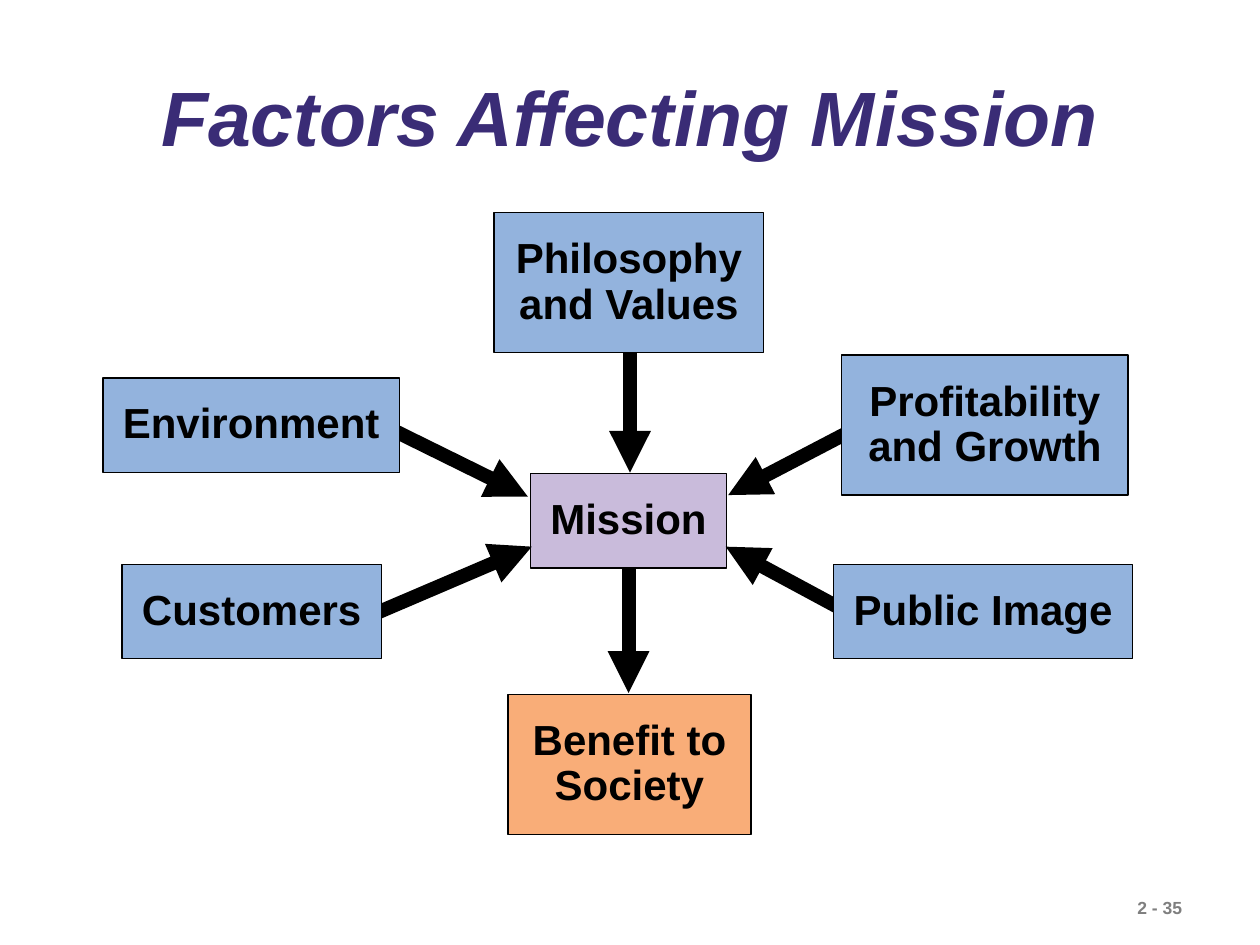
from lxml.etree import SubElement
from pptx import Presentation
from pptx.dml.color import RGBColor
from pptx.enum.shapes import MSO_CONNECTOR as Connector, MSO_SHAPE as Shape
from pptx.enum.text import MSO_ANCHOR as Anchor, PP_ALIGN as Align
from pptx.oxml.ns import qn
from pptx.util import Cm, Pt

TITLE = "Factors Affecting Mission"
PAGE_NUMBER = "2 - 35"
COLORS = {
    "title": "3A2C76", "text": "000000", "line": "000000", "page": "7F7F7F",
    "factor": "93B3DD", "mission": "C9BBDB", "result": "F9AD78",
}
ONE_LINE, TWO_LINES = 1.9, 2.82  # box heights in cm

# Boxes: text, left, top, width, height (cm), colour
CORE_BOXES = [
    ("Benefit to Society", 10.24, 14, 4.9, TWO_LINES, "result"),
    ("Mission", 10.69, 9.55, 3.96, ONE_LINE, "mission"),
]
FACTOR_BOXES = [
    ("Philosophy and Values", 9.96, 4.29, 5.44, TWO_LINES, "factor"),
    ("Profitability and Growth", 16.97, 7.16, 5.77, TWO_LINES, "factor"),
    ("Environment", 2.08, 7.62, 5.97, ONE_LINE, "factor"),
    ("Customers", 2.46, 11.38, 5.23, ONE_LINE, "factor"),
    ("Public Image", 16.81, 11.38, 6.02, ONE_LINE, "factor"),
]
# Arrows: start x, start y, end x, end y (cm)
ARROWS = [
    (12.67, 11.43, 12.67, 13.97),  # mission to benefit
    (12.7, 6.99, 12.7, 9.53),      # philosophy to mission
    (7.8, 8.61, 10.64, 10.01),     # environment to mission
    (17.15, 8.69, 14.68, 9.98),    # profitability to mission
    (7.49, 12.4, 10.72, 11.02),    # customers to mission
    (16.99, 12.29, 14.63, 11.02),  # public image to mission
]


def color(name):
    return RGBColor.from_string(COLORS[name])


def set_text(shape, text, size, color_name, align, margins, wrap=True, italic=False):
    frame = shape.text_frame
    frame.text = text
    frame.word_wrap = wrap
    frame.vertical_anchor = Anchor.MIDDLE
    frame.margin_left = frame.margin_right = Cm(margins[0])
    frame.margin_top = frame.margin_bottom = Cm(margins[1])
    paragraph = frame.paragraphs[0]
    paragraph.alignment = align
    paragraph.line_spacing = 0.9
    font = paragraph.runs[0].font
    font.name, font.size = "Arial", Pt(size)
    font.bold, font.italic = True, italic
    font.color.rgb = color(color_name)


def add_box(slide, text, left, top, width, height, fill):
    box = slide.shapes.add_shape(Shape.RECTANGLE, Cm(left), Cm(top), Cm(width), Cm(height))
    box.shadow.inherit = False
    box.fill.solid()
    box.fill.fore_color.rgb = color(fill)
    box.line.color.rgb = color("line")
    box.line.width = Pt(0.75)
    set_text(box, text, 24, "text", Align.CENTER, (0.41, 0.51), wrap=height == TWO_LINES)


def add_arrow(slide, *ends):
    arrow = slide.shapes.add_connector(Connector.STRAIGHT, *map(Cm, ends))
    arrow.line.color.rgb = color("line")
    arrow.line.width = Pt(8)
    SubElement(arrow.line._get_or_add_ln(), qn("a:tailEnd"), type="triangle")
    SubElement(arrow._element.spPr, qn("a:effectLst"))


presentation = Presentation()
presentation.slide_width, presentation.slide_height = Cm(25.4), Cm(19.05)
slide = presentation.slides.add_slide(presentation.slide_layouts[5])

# Title
title = slide.shapes.title
title.left, title.top, title.width, title.height = Cm(1.9), Cm(1.22), Cm(21.6), Cm(2.46)
set_text(title, TITLE, 44, "title", Align.CENTER, (0.25, 0.13), italic=True)

# Diagram, from back to front
for box in CORE_BOXES:
    add_box(slide, *box)
for arrow in ARROWS:
    add_arrow(slide, *arrow)
for box in FACTOR_BOXES:
    add_box(slide, *box)

# Page number
page = slide.shapes.add_textbox(Cm(22.68), Cm(17.98), Cm(2.72), Cm(0.69))
set_text(page, PAGE_NUMBER, 10, "page", Align.LEFT, (0.25, 0.13))

presentation.save("out.pptx")
